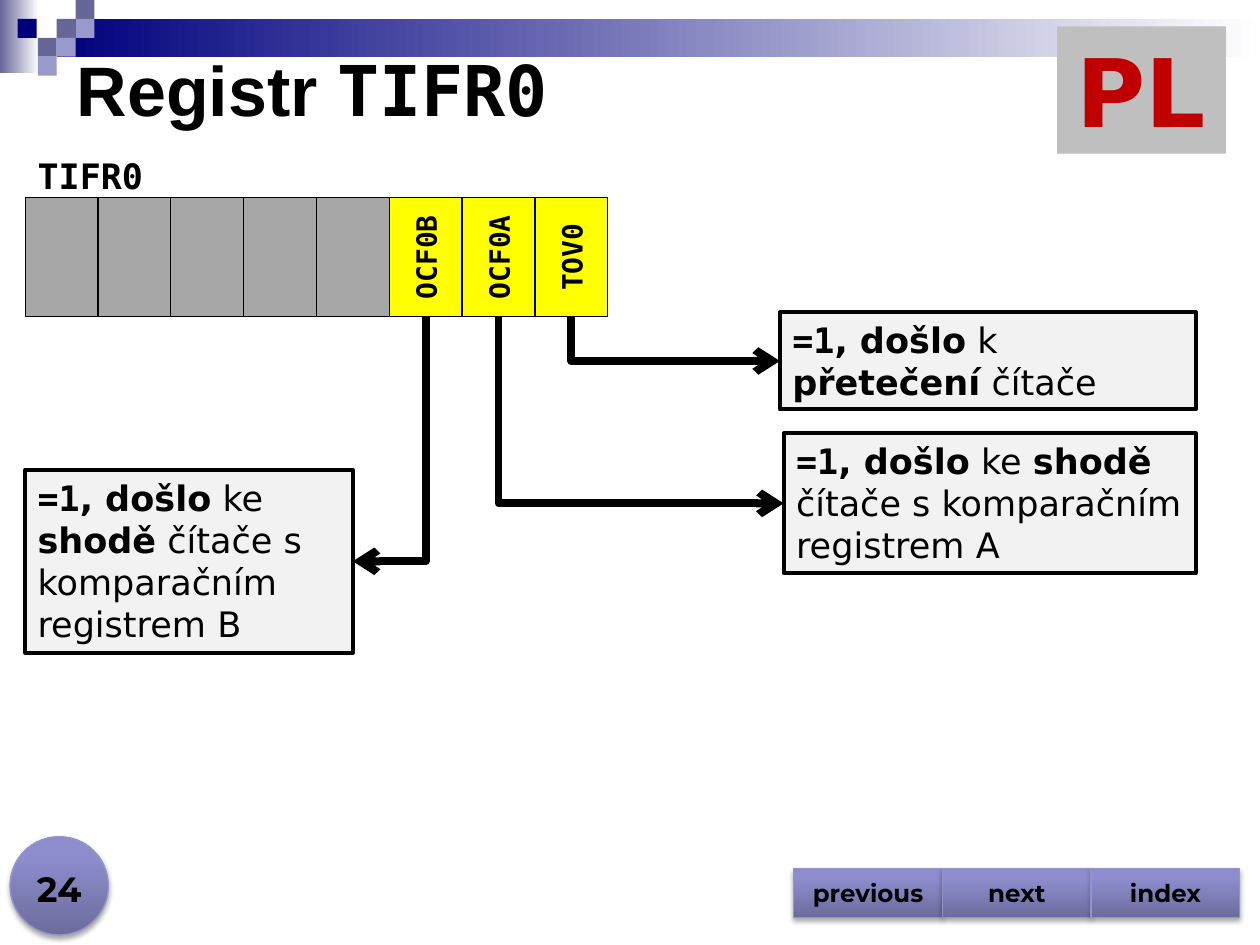
from lxml.etree import SubElement
from pptx import Presentation
from pptx.dml.color import RGBColor
from pptx.enum.shapes import MSO_CONNECTOR, MSO_SHAPE
from pptx.enum.text import MSO_ANCHOR, MSO_AUTO_SIZE, PP_ALIGN
from pptx.oxml.ns import qn
from pptx.util import Inches, Pt

BLACK = RGBColor(0x00, 0x00, 0x00)
WHITE = RGBColor(0xFF, 0xFF, 0xFF)
NAVY = RGBColor(0x00, 0x00, 0x7D)
SLATE = RGBColor(0x66, 0x66, 0x99)
LILAC = RGBColor(0x99, 0x99, 0xCC)
EDGE = RGBColor(0x94, 0x94, 0xC9)
GRAY = RGBColor(0xA6, 0xA6, 0xA6)
SILVER = RGBColor(0xBF, 0xBF, 0xBF)
PALE = RGBColor(0xF2, 0xF2, 0xF2)
YELLOW = RGBColor(0xFF, 0xFF, 0x00)
RED = RGBColor(0xC0, 0x00, 0x00)
GLOSS = [(0, RGBColor(0x6C, 0x6C, 0x9E)), (80, RGBColor(0x8D, 0x8D, 0xCD)),
         (100, RGBColor(0x8C, 0x8C, 0xCF))]
SANS, MONO, NAV = "DejaVu Sans", "DejaVu Sans Mono", "Montserrat"

# Content: runs are (text, font, bold)
TITLE = [("Registr ", "Arial", True), ("TIFR0", MONO, True)]
BITS = ["", "", "", "", "", "OCF0B", "OCF0A", "TOV0"]
START = [("=1", MONO, True), (", došlo", SANS, True)]


def match(name):
    return START + [(" ke ", SANS, False), ("shodě", SANS, True),
                    (f" čítače s komparačním registrem {name}", SANS, False)]


OVER = START + [(" k ", SANS, False), ("přetečení", SANS, True),
                (" čítače", SANS, False)]
# Bit number, box, runs
NOTES = [
    (7, (6.19, 2.48, 3.3, 0.77), OVER),
    (6, (6.22, 3.44, 3.27, 1.11), match("A")),
    (5, (0.2, 3.73, 2.6, 1.45), match("B")),
]
BUTTONS = ["previous", "next", "index"]
# Left, top, colour of the corner squares
TILES = [(0.45, 0.15, SLATE), (0.6, 0, SLATE), (0.6, 0.15, LILAC),
         (0.3, 0.3, SLATE), (0.14, 0.15, NAVY), (0.45, 0.3, LILAC),
         (0.3, 0.45, LILAC)]
BIT_X, BIT_Y, BIT_W, BIT_H = 0.2, 1.57, 0.578, 0.945

prs = Presentation()
prs.slide_width, prs.slide_height = Inches(10), Inches(7.5)
slide = prs.slides.add_slide(prs.slide_layouts[5])
shapes = slide.shapes


def write(shape, runs, size, color=BLACK, align=PP_ALIGN.CENTER,
          anchor=MSO_ANCHOR.MIDDLE, wrap=True):
    frame = shape.text_frame
    frame.auto_size = MSO_AUTO_SIZE.NONE
    frame.word_wrap = wrap
    frame.vertical_anchor = anchor
    para = frame.paragraphs[0]
    para.alignment = align
    for text, face, bold in runs:
        run = para.add_run()
        run.text = text
        font = run.font
        font.name, font.size, font.bold = face, Pt(size), bold
        font.color.rgb = color


def draw(box, fill, line=None, width=0.75, kind=MSO_SHAPE.RECTANGLE, angle=0):
    shape = shapes.add_shape(kind, *map(Inches, box))
    shape.shadow.inherit = False
    if isinstance(fill, list):
        shape.fill.gradient()
        shape.fill.gradient_angle = angle
        stops = shape._element.spPr.find(".//" + qn("a:gsLst"))
        for old in list(stops):
            stops.remove(old)
        for pos, color in fill:
            stop = SubElement(stops, qn("a:gs"), pos=str(pos * 1000))
            SubElement(stop, qn("a:srgbClr"), val=str(color))
    else:
        shape.fill.solid()
        shape.fill.fore_color.rgb = fill
    if line is None:
        shape.line.fill.background()
    else:
        shape.line.color.rgb = line
        shape.line.width = Pt(width)
    return shape


def glossy(box, kind):
    shape = draw(box, GLOSS, EDGE, kind=kind, angle=90)
    effects = shape._element.spPr.find(qn("a:effectLst"))
    shade = SubElement(effects, qn("a:outerShdw"), blurRad=str(Pt(3.1)),
                       dist=str(Pt(1.8)), dir="5400000", rotWithShape="0")
    color = SubElement(shade, qn("a:srgbClr"), val=str(BLACK))
    SubElement(color, qn("a:alpha"), val="35000")
    return shape


def bend(x1, y1, x2, y2):
    """Arrow that runs down first, then sideways."""
    down, side = y2 - y1, abs(x2 - x1)
    mid_x, mid_y = (x1 + x2) / 2, (y1 + y2) / 2
    # The preset runs sideways first, so its frame is turned a quarter
    ends = (mid_x - down / 2, mid_y - side / 2,
            mid_x + down / 2, mid_y + side / 2)
    arrow = shapes.add_connector(MSO_CONNECTOR.ELBOW, *map(Inches, ends))
    arrow.line.color.rgb = BLACK
    arrow.line.width = Pt(4.5)
    props = arrow._element.spPr
    props.find(qn("a:prstGeom")).set("prst", "bentConnector2")
    frame = props.find(qn("a:xfrm"))
    if x2 > x1:
        frame.set("rot", "16200000")
        frame.set("flipH", "1")
    else:
        frame.set("rot", "5400000")
    SubElement(props.find(qn("a:ln")), qn("a:tailEnd"), type="arrow")
    SubElement(props, qn("a:effectLst"))


# Header band and corner squares
draw((0, 0, 0.31, 0.58), [(0, SLATE), (100, WHITE)])
draw((0.45, 0.15, 9.55, 0.3), [(0, NAVY), (100, WHITE)])
for x, y, color in TILES:
    draw((x, y, 0.15, 0.15), color)

# Title
title = shapes.title
title.left, title.top = Inches(0.51), Inches(0.31)
title.width, title.height = Inches(8.86), Inches(0.79)
write(title, TITLE, 40, align=PP_ALIGN.LEFT)

# Register bits
for i, bit in enumerate(BITS):
    cell = draw((BIT_X + i * BIT_W, BIT_Y, BIT_W, BIT_H),
                YELLOW if bit else GRAY, BLACK)
    if bit:
        write(cell, [(bit, MONO, True)], 16, wrap=False)
        cell.text_frame._txBody.bodyPr.set("vert", "vert270")
label = shapes.add_textbox(*map(Inches, (0.2, 1.18, 2.03, 0.44)))
write(label, [("TIFR0", MONO, True)], 20, align=PP_ALIGN.LEFT,
      anchor=MSO_ANCHOR.TOP)

# Notes with their arrows
for bit, box, runs in NOTES:
    x, y, w, h = box
    note = draw(box, PALE, BLACK, 2.25)
    write(note, runs, 20, align=PP_ALIGN.LEFT, anchor=MSO_ANCHOR.TOP)
    start = BIT_X + (bit + 0.5) * BIT_W
    bend(start, BIT_Y + BIT_H, x if x > start else x + w, y + h / 2)

# Page number
glossy((0.08, 6.64, 0.78, 0.78), MSO_SHAPE.OVAL)
page = shapes.add_textbox(*map(Inches, (0, 6.77, 0.94, 0.5)))
write(page, [("24", NAV, True)], 20, anchor=MSO_ANCHOR.BOTTOM)

# Navigation buttons
for i, name in enumerate(BUTTONS):
    button = glossy((6.3 + i * 1.18, 6.89, 1.18, 0.39),
                    MSO_SHAPE.ACTION_BUTTON_CUSTOM)
    write(button, [(name, NAV, True)], 14)

# Language badge
badge = draw((8.39, 0.21, 1.34, 1.01), SILVER)
write(badge, [("PL", SANS, True)], 54, RED, anchor=MSO_ANCHOR.TOP)

prs.save("out.pptx")
